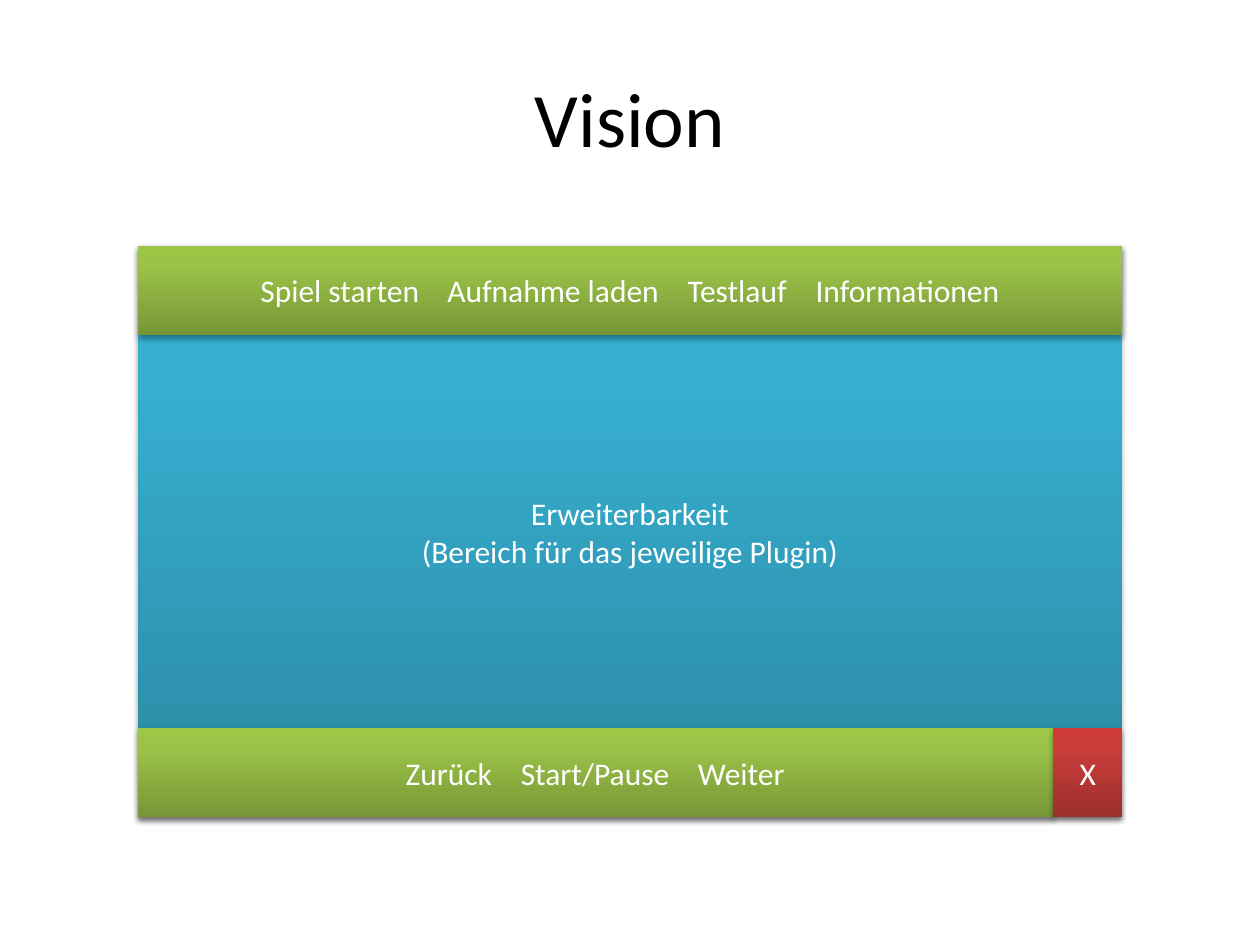
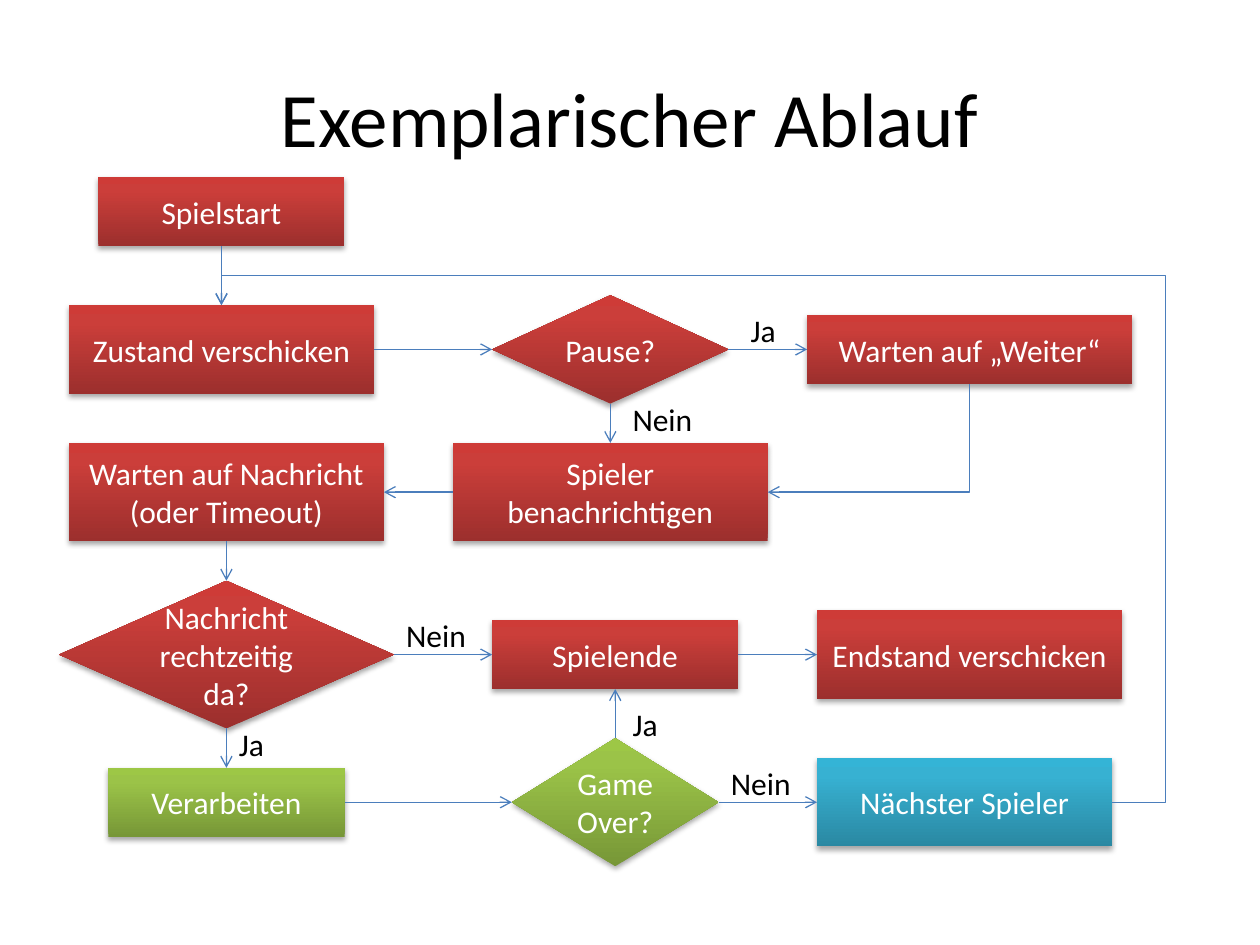
from lxml import etree
from pptx import Presentation
from pptx.dml.color import RGBColor
from pptx.enum.shapes import MSO_CONNECTOR, MSO_SHAPE
from pptx.enum.text import MSO_ANCHOR, MSO_AUTO_SIZE, PP_ALIGN
from pptx.oxml.ns import qn
from pptx.util import Inches, Pt

RECT, DECISION = MSO_SHAPE.RECTANGLE, MSO_SHAPE.FLOWCHART_DECISION
STRAIGHT, ELBOW = MSO_CONNECTOR.STRAIGHT, MSO_CONNECTOR.ELBOW
CENTER, LEFT, MIDDLE = PP_ALIGN.CENTER, PP_ALIGN.LEFT, MSO_ANCHOR.MIDDLE
FIT_TEXT = MSO_AUTO_SIZE.SHAPE_TO_FIT_TEXT
TOP_SIDE, LEFT_SIDE, BOTTOM_SIDE, RIGHT_SIDE = range(4)

WIDTH, HEIGHT = Inches(10), Inches(7.5)
UNIT = WIDTH / 128
FULL_SLIDE = (0, 0, 128, 96)
FONT, BLACK, WHITE, LINE = "Calibri", "000000", "FFFFFF", "4B7EBC"
RED = ("9C2F2D", "CB3E3A", "CE3B37")
GREEN = ("779737", "9BC348", "9DC746")
BLUE = ("2A88A2", "37B1D2", "34B4D6")
STOPS = (0, 80000, 100000)

STEPS = {
    "start": ("Spielstart", RECT, RED, 10, 18, 25, 7),
    "send": ("Zustand verschicken", RECT, RED, 7, 31, 31, 9),
    "pause": ("Pause?", DECISION, RED, 50, 30, 24, 11),
    "resume": ("Warten auf „Weiter“", RECT, RED, 82, 32, 33, 7),
    "notify": ("Spieler benachrichtigen", RECT, RED, 46, 45, 32, 10),
    "wait": ("Warten auf Nachricht\v(oder Timeout)", RECT, RED, 7, 45, 32, 10),
    "in_time": ("Nachricht rechtzeitig da?", DECISION, RED, 6, 59, 34, 15),
    "process": ("Verarbeiten", RECT, GREEN, 11, 78, 24, 7),
    "game_over": ("Game\vOver?", DECISION, GREEN, 52, 75, 21, 13),
    "next": ("Nächster Spieler", RECT, BLUE, 83, 77, 30, 9),
    "end": ("Spielende", RECT, RED, 50, 63, 25, 7),
    "score": ("Endstand verschicken", RECT, RED, 83, 62, 31, 9),
}
ARROWS = [
    ("start", BOTTOM_SIDE, "send", TOP_SIDE),
    ("send", RIGHT_SIDE, "pause", LEFT_SIDE),
    ("pause", RIGHT_SIDE, "resume", LEFT_SIDE),
    ("pause", BOTTOM_SIDE, "notify", TOP_SIDE),
    ("notify", LEFT_SIDE, "wait", RIGHT_SIDE),
    ("wait", BOTTOM_SIDE, "in_time", TOP_SIDE),
    ("in_time", RIGHT_SIDE, "end", LEFT_SIDE),
    ("in_time", BOTTOM_SIDE, "process", TOP_SIDE),
    ("process", RIGHT_SIDE, "game_over", LEFT_SIDE),
    ("game_over", TOP_SIDE, "end", BOTTOM_SIDE),
    ("game_over", RIGHT_SIDE, "next", LEFT_SIDE),
    ("end", RIGHT_SIDE, "score", LEFT_SIDE),
]
ANSWERS = [
    ("Ja", 75, 31), ("Nein", 63, 40), ("Nein", 40, 62),
    ("Ja", 23, 73), ("Ja", 63, 71), ("Nein", 73, 77),
]
ANSWER_WIDTHS = {"Ja": 5.4, "Nein": 9}


def color(target, value):
    """Give a font or fill colour format a hex colour."""
    target.rgb = RGBColor.from_string(value)


def add_xml(parent, tag, **attributes):
    """Append a DrawingML element and return it."""
    values = {key: str(value) for key, value in attributes.items()}
    return etree.SubElement(parent, qn(f"a:{tag}"), values)


def units(*lengths):
    """Turn grid units into slide lengths."""
    return [round(length * UNIT) for length in lengths]


def within(box, column, row, columns, rows):
    """Return the slide lengths of a grid area inside a box."""
    return units(box[0] + column, box[1] + row, columns, rows)


def write(frame, text, size, ink, align):
    """Fill a text frame with evenly styled paragraphs."""
    frame.text = text
    for paragraph in frame.paragraphs:
        paragraph.alignment = align
        paragraph.font.name = FONT
        paragraph.font.size = Pt(size)
        color(paragraph.font.color, ink)


def add_block(slide, kind, area, text, gradient):
    """Add a shaded preset shape with centred white text."""
    block = slide.shapes.add_shape(kind, *area)
    block.shadow.inherit = False
    block.fill.gradient()
    block.fill.gradient_angle = 90
    block.line.fill.background()
    properties = block._element.spPr
    stops = properties.find(".//" + qn("a:gsLst"))
    for stop in list(stops):
        stops.remove(stop)
    for position, shade in zip(STOPS, gradient):
        add_xml(add_xml(stops, "gs", pos=position), "srgbClr", val=shade)
    shadow = add_xml(properties.find(qn("a:effectLst")), "outerShdw",
                     blurRad=40000, dist=23000, dir=5400000, rotWithShape=0)
    add_xml(add_xml(shadow, "srgbClr", val=BLACK), "alpha", val=35000)
    block.text_frame.word_wrap = True
    block.text_frame.vertical_anchor = MIDDLE
    write(block.text_frame, text, 18, WHITE, CENTER)
    return block


def add_menu(slide, area, entries, indent, tab_stops):
    """Add a green bar whose entries stand at tab stops."""
    bar = add_block(slide, RECT, area, "", GREEN)
    frame = bar.text_frame
    frame.margin_left = units(indent)[0]
    frame.text = "\t".join(entries)
    tabs = etree.Element(qn("a:tabLst"))
    for position in units(*tab_stops):
        add_xml(tabs, "tab", pos=position, algn="l")
    frame.paragraphs[0]._p.get_or_add_pPr().insert(0, tabs)
    frame.paragraphs[0].alignment = LEFT


def add_arrow(slide, kind, source, source_side, target, target_side, end="tailEnd"):
    """Join two steps with a thin open-headed arrow."""
    arrow = slide.shapes.add_connector(kind, 0, 0, 0, 0)
    arrow.begin_connect(source, source_side)
    arrow.end_connect(target, target_side)
    arrow.line.width = Pt(0.75)
    arrow.line.fill.solid()
    color(arrow.line.fill.fore_color, LINE)
    add_xml(arrow.line._ln, end, type="arrow")
    add_xml(arrow._element.spPr, "effectLst")
    return arrow


def bend(arrow, preset, *adjustments):
    """Set the preset route of an elbow and its turning points."""
    geometry = arrow._element.spPr.find(qn("a:prstGeom"))
    geometry.set("prst", preset)
    guides = geometry.find(qn("a:avLst"))
    for number, share in enumerate(adjustments, 1):
        add_xml(guides, "gd", name=f"adj{number}", fmla=f"val {round(share * 100000)}")


def add_title(slide, text):
    """Add the centred slide title."""
    title = slide.shapes.add_textbox(
        round(WIDTH * 0.05), round(HEIGHT * 0.04), round(WIDTH * 0.9), round(HEIGHT / 6))
    title.text_frame.word_wrap = True
    title.text_frame.vertical_anchor = MIDDLE
    write(title.text_frame, text, 44, BLACK, CENTER)


def draw_window(slide, box):
    """Draw the planned program window with its two menu bars."""
    width, height = box[2:]
    bar, close = 9, 7
    bottom = height - bar
    add_block(slide, RECT, within(box, 0, 0, width, height),
              "Erweiterbarkeit\n(Bereich für das jeweilige Plugin)", BLUE)
    add_menu(slide, within(box, 0, bottom, width - close, bar),
             ["Zurück", "Start/Pause", "Weiter"], 27.2, [11.7, 29.7])
    add_menu(slide, within(box, 0, 0, width, bar),
             ["Spiel starten", "Aufnahme laden", "Testlauf", "Informationen"],
             12.45, [19, 43.4, 56.4])
    add_block(slide, RECT, within(box, width - close, bottom, close, bar), "X", RED)


def draw_flow(slide, box):
    """Draw the game's steps, their arrows and the answers."""
    steps = {key: add_block(slide, kind, within(box, *area), text, gradient)
             for key, (text, kind, gradient, *area) in STEPS.items()}
    for source, source_side, target, target_side in ARROWS:
        add_arrow(slide, STRAIGHT, steps[source], source_side, steps[target], target_side)
    resumed = add_arrow(slide, ELBOW, steps["notify"], RIGHT_SIDE,
                        steps["resume"], BOTTOM_SIDE, "headEnd")
    bend(resumed, "bentConnector2")
    next_round = add_arrow(slide, ELBOW, steps["next"], RIGHT_SIDE, steps["send"], TOP_SIDE)
    bend(next_round, "bentConnector4", -0.06, 1.06)
    for text, column, row in ANSWERS:
        answer = slide.shapes.add_textbox(*within(box, column, row, ANSWER_WIDTHS[text], 5))
        answer.text_frame.word_wrap = False
        answer.text_frame.auto_size = FIT_TEXT
        write(answer.text_frame, text, 18, BLACK, LEFT)


def main():
    """Build both slides and save them."""
    deck = Presentation()
    deck.slide_width, deck.slide_height = WIDTH, HEIGHT
    for title, draw, box in [
        ("Vision", draw_window, (14, 25, 100, 58)),
        ("Exemplarischer Ablauf", draw_flow, FULL_SLIDE),
    ]:
        slide = deck.slides.add_slide(deck.slide_layouts[6])
        add_title(slide, title)
        draw(slide, box)
    deck.save("out.pptx")


if __name__ == "__main__":
    main()
